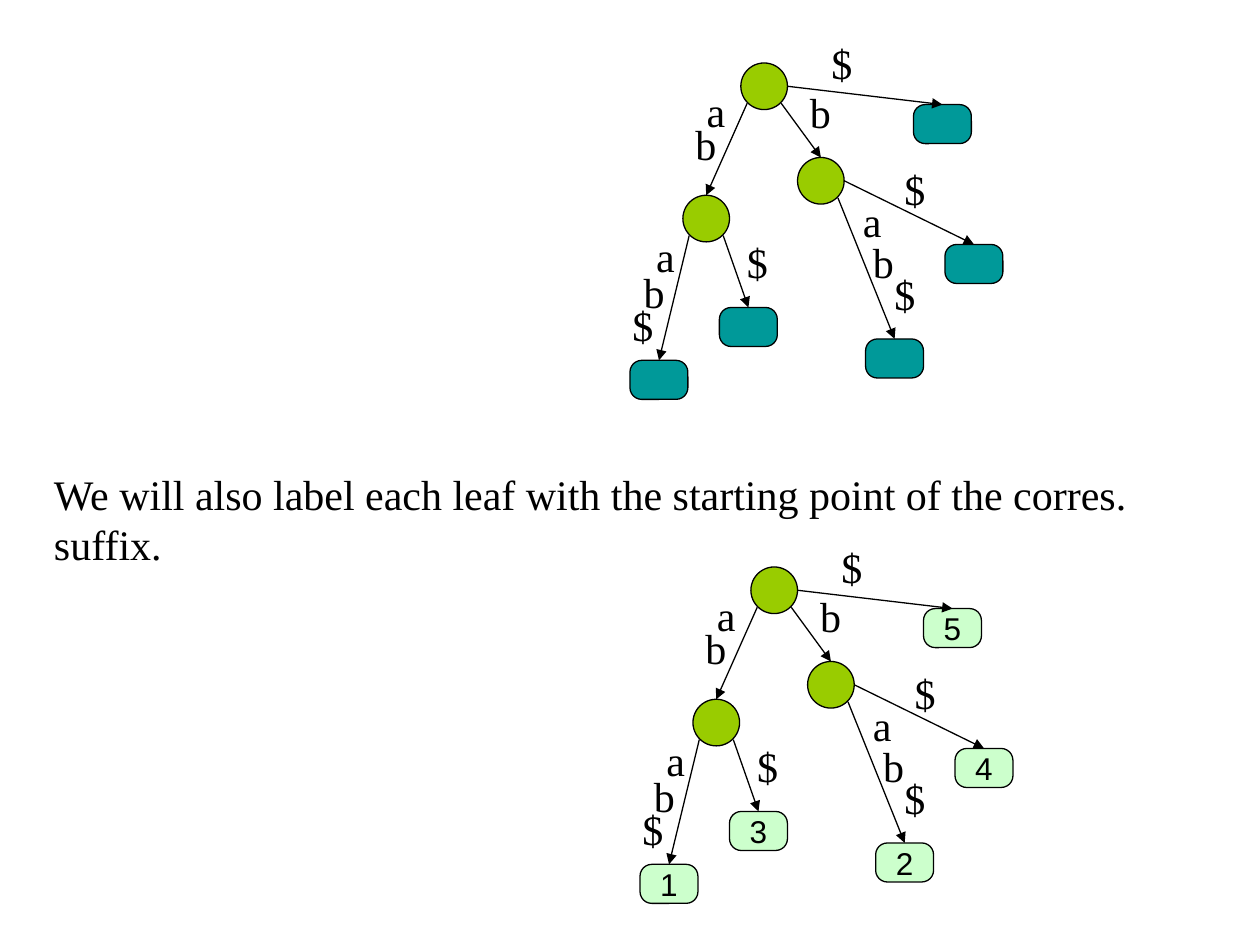
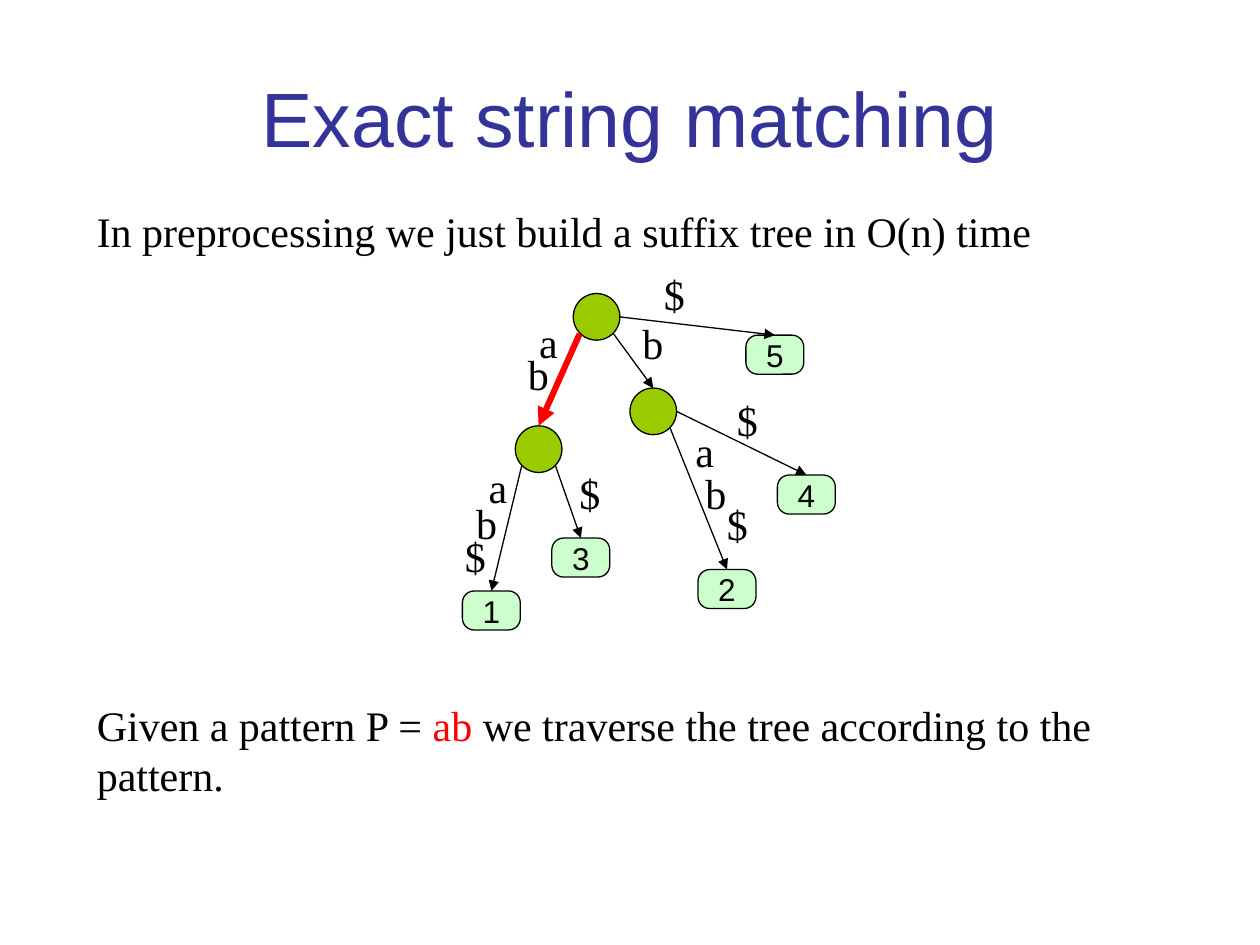
"""Build two slides on suffix trees and exact string matching."""
from lxml.etree import SubElement as Sub
from pptx import Presentation as Deck
from pptx.dml.color import RGBColor as Rgb
from pptx.enum.shapes import MSO_CONNECTOR as Link, MSO_SHAPE as Kind
from pptx.enum.text import MSO_ANCHOR as Anchor, MSO_AUTO_SIZE as Fit, PP_ALIGN as Align
from pptx.oxml.ns import qn
from pptx.util import Inches, Pt

HUES = {"ink": "000000", "title": "333399", "node": "99CC00",
        "plain": "009999", "leaf": "CCFFCC", "hot": "FF0000"}
BODY = {"name": "Times New Roman", "size": Pt(24)}
HEAD = {"name": "Arial", "size": Pt(44)}
MARK = {"name": "Arial", "size": Pt(18)}
GROW = {"word_wrap": True, "auto_size": Fit.SHAPE_TO_FIT_TEXT}
MID = {"word_wrap": True, "vertical_anchor": Anchor.MIDDLE}
TIGHT = {"word_wrap": False, "vertical_anchor": Anchor.MIDDLE}

DOT = 0.37
LEAF = (0.46, 0.31)
NODES = {"root": (0, 0), "left": (-0.46, 1.05), "right": (0.45, 0.75)}
LEAVES = {"1": (-0.88, 2.36), "2": (0.99, 2.19), "3": (-0.17, 1.94),
          "4": (1.62, 1.44), "5": (1.37, 0.33)}
PORTS = {"sw": (0.05, 0.32), "se": (0.32, 0.32), "east": (DOT, DOT / 2)}
EDGES = [
    ("root", "east", "5", [("$", 0.62, -0.25)]),
    ("root", "se", "right", [("b", 0.45, 0.14)]),
    ("right", "east", "4", [("$", 1.2, 0.75)]),
    ("right", "se", "2", [("a", 0.87, 1), ("b", 0.95, 1.33), ("$", 1.12, 1.58)]),
    ("left", "se", "3", [("$", -0.05, 1.33)]),
    ("left", "sw", "1", [("a", -0.77, 1.28), ("b", -0.87, 1.57), ("$", -0.96, 1.83)]),
    ("root", "sw", "left", [("a", -0.37, 0.13), ("b", -0.46, 0.39)]),
]


def tint(hue):
    """Return the named colour."""
    return Rgb.from_string(HUES[hue])


def style(item, form):
    """Set each attribute in the format dict."""
    for key, val in form.items():
        setattr(item, key, val)


def write(shape, runs, font, frame, align=Align.LEFT):
    """Fill a shape with one paragraph of (text, hue) runs."""
    style(shape.text_frame, frame)
    para = shape.text_frame.paragraphs[0]
    para.alignment = align
    for text, hue in runs:
        run = para.add_run()
        run.text = text
        style(run.font, font)
        run.font.color.rgb = tint(hue)


def note(slide, box, runs, font=BODY, frame=GROW, align=Align.LEFT):
    """Add a text box."""
    area = slide.shapes.add_textbox(*map(Inches, box))
    write(area, runs, font, frame, align)


def blob(slide, kind, box, hue):
    """Add an outlined shape with a flat fill."""
    shape = slide.shapes.add_shape(kind, *map(Inches, box))
    shape.shadow.inherit = False
    shape.fill.solid()
    shape.fill.fore_color.rgb = tint(hue)
    shape.line.color.rgb = tint("ink")
    shape.line.width = Pt(0.75)
    return shape


def leaf(slide, spot, hue, text):
    """Add a rounded leaf, with its number if there is one."""
    shape = blob(slide, Kind.ROUNDED_RECTANGLE, (*spot, *LEAF), hue)
    shape.adjustments[0] = 0.3
    if text:
        write(shape, [(text, "ink")], MARK, TIGHT, Align.CENTER)
    return shape


def arrow(slide, start, goal, hue, width):
    """Draw an arrow from a point to the top of a shape."""
    x, y = map(Inches, start)
    line = slide.shapes.add_connector(Link.STRAIGHT, x, y, x, y)
    line.end_connect(goal, 0)
    line.line.color.rgb = tint(hue)
    line.line.width = Pt(width)
    props = line.element.spPr
    Sub(props.find(qn("a:ln")), qn("a:tailEnd"), type="triangle")
    Sub(props, qn("a:effectLst"))


def tree(slide, left, top, hue="leaf", named=True, hot=None):
    """Draw the suffix tree with its root at left, top."""
    def place(dx, dy):
        """Shift an offset to the root."""
        return left + dx, top + dy

    goals = {key: blob(slide, Kind.OVAL, (*place(*at), DOT, DOT), "node")
             for key, at in NODES.items()}
    for key, at in LEAVES.items():
        goals[key] = leaf(slide, place(*at), hue, key if named else "")
    for start, port, end, marks in EDGES:
        (x, y), (dx, dy) = NODES[start], PORTS[port]
        look = ("hot", 3.5) if end == hot else ("ink", 0.75)
        arrow(slide, place(x + dx, y + dy), goals[end], *look)
        for text, *at in marks:
            note(slide, (*place(*at), 0.42, 0.5), [(text, "ink")])


def main():
    """Build and save the deck."""
    deck = Deck()
    deck.slide_width, deck.slide_height = Inches(10), Inches(7.5)
    label, match = (deck.slides.add_slide(deck.slide_layouts[6]) for _ in range(2))

    note(label, (0.33, 3.67, 9.42, 0.9),
         [("We will also label each leaf with the starting point of the corres. suffix.", "ink")])
    tree(label, 5.88, 0.5, "plain", named=False)
    tree(label, 5.96, 4.5)

    note(match, (0.5, 0.3, 9, 1.25), [("Exact string matching", "title")],
         HEAD, MID, Align.CENTER)
    note(match, (0.67, 1.58, 8.5, 0.5),
         [("In preprocessing we just build a suffix tree in O(n) time", "ink")])
    tree(match, 4.55, 2.33, hot="left")
    note(match, (0.67, 5.5, 8.5, 0.9),
         [("Given a pattern P = ", "ink"), ("ab ", "hot"),
          ("we traverse the tree according to the pattern.", "ink")])
    deck.save("out.pptx")


if __name__ == "__main__":
    main()
